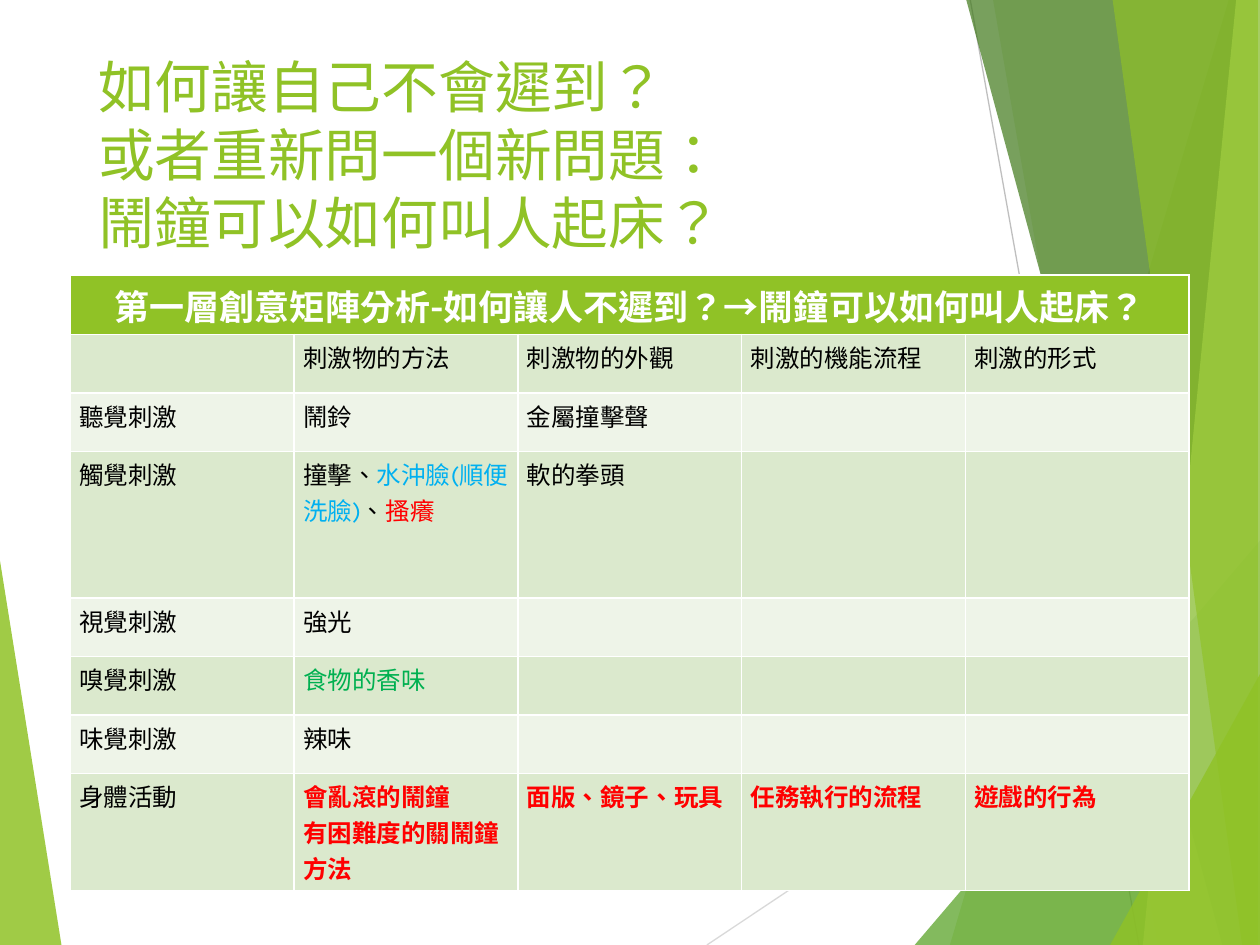
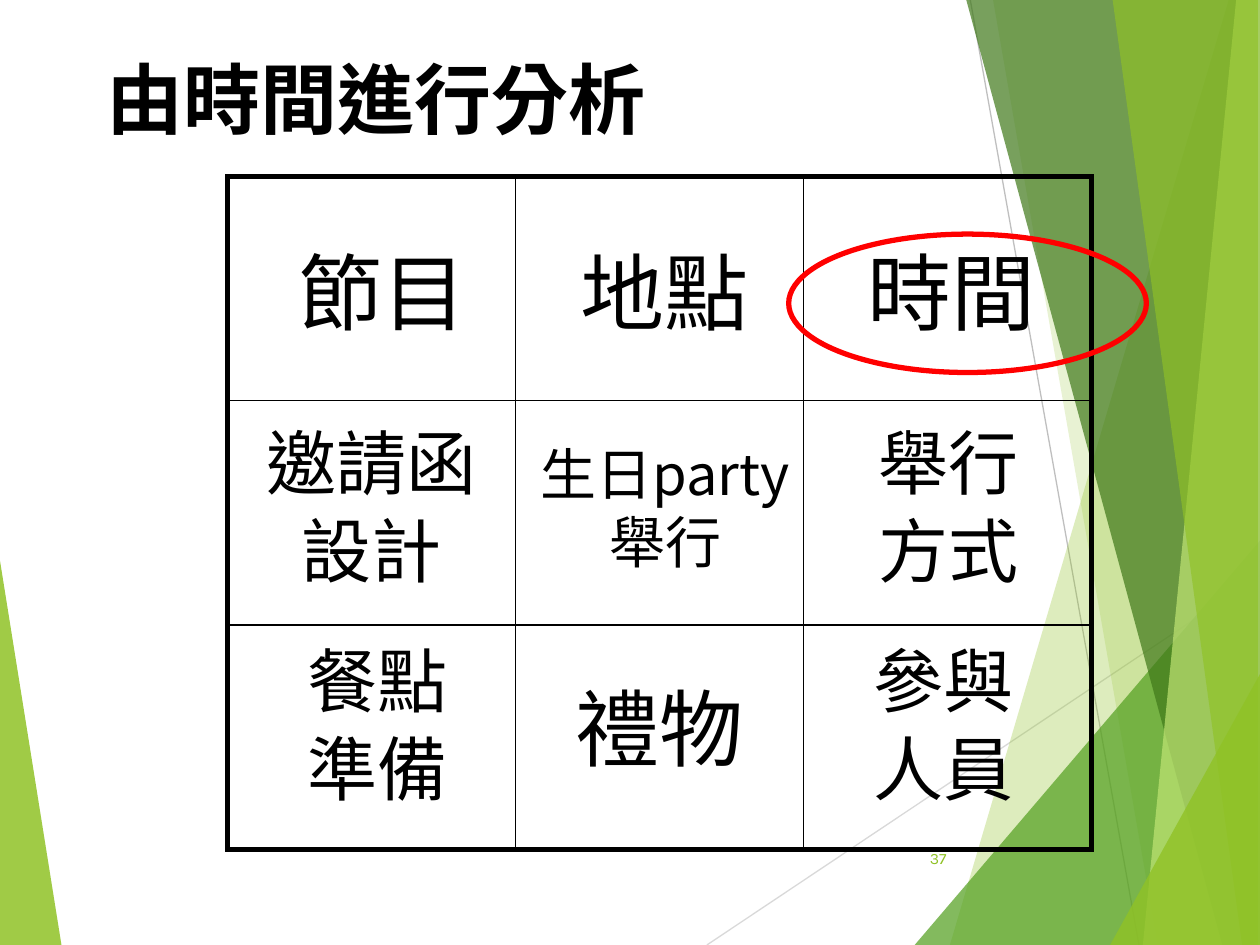
import pptx
import pptx.dml.color
import pptx.enum.lang
import pptx.enum.shapes
import pptx.enum.text
import pptx.oxml.ns
import pptx.util
import lxml.etree
from dataclasses import dataclass
from typing import Any, NamedTuple

Cm = pptx.util.Cm
Pt = pptx.util.Pt
qn = pptx.oxml.ns.qn
ALIGN = pptx.enum.text.PP_ALIGN
HOLD = pptx.enum.text.MSO_ANCHOR
KIND = pptx.enum.shapes.MSO_SHAPE
WIDE, HIGH = 25.4, 19.05

HUES: dict[str, str] = {
    "lime": "90C226", "leaf": "54A021", "moss": "3F7819", "pale": "C0E474",
    "mist": "D9D9D9", "gray": "BFBFBF", "white": "FFFFFF", "black": "000000",
    "red": "FF0000", "blue": "00B0F0", "green": "00B050",
    "band": "DBE9CD", "light": "EEF4E8",
}


class Facet(NamedTuple):
    left: float
    top: float
    foot: float
    edge: float
    hue: str
    alpha: int


class Rule(NamedTuple):
    x1: float
    y1: float
    x2: float
    y2: float
    hue: str


class Piece(NamedTuple):
    text: str
    hue: str = "black"
    bold: bool = False


@dataclass
class Label:
    text: str
    left: float
    top: float
    wide: float
    high: float
    size: float
    face: str = "Noto Sans CJK SC"
    hue: str = "black"
    bold: bool = False
    align: Any = ALIGN.CENTER
    hold: Any = HOLD.TOP


FACETS = [
    Facet(24.77, 0, 19.15, WIDE, "lime", 30),
    Facet(20.02, 0, 23.34, WIDE, "lime", 20),
    Facet(WIDE, 10.9, 18.44, WIDE, "leaf", 72),
    Facet(19.48, 0, 24.64, WIDE, "moss", 70),
    Facet(24.92, 0, 23.04, WIDE, "pale", 70),
    Facet(22.43, 0, 25.04, 25.36, "lime", 65),
    Facet(WIDE, 13.59, 22.38, WIDE, "lime", 80),
]
WEDGE = Facet(0, 11.3, 1.24, 0, "lime", 85)
RAYS = [Rule(14.25, HIGH, WIDE, 11.6, "mist"), Rule(19.56, 0, 22.96, HIGH, "gray")]

ASK = Label("如何讓自己不會遲到？\v或者重新問一個新問題：\v鬧鐘可以如何叫人起床？",
            1.73, 0.91, 17.15, 4.32, 32.4, "Karla", "lime", align=ALIGN.LEFT)
HEAD = "第一層創意矩陣分析-如何讓人不遲到？→鬧鐘可以如何叫人起床？"
ROWS: list[list[Any]] = [
    ["", "刺激物的方法", "刺激物的外觀", "刺激的機能流程", "刺激的形式"],
    ["聽覺刺激", "鬧鈴", "金屬撞擊聲"],
    ["觸覺刺激", [[Piece("撞擊、"), Piece("水沖臉(順便洗臉)", "blue"),
                Piece("、"), Piece("搔癢", "red")]], "軟的拳頭"],
    ["視覺刺激", "強光"],
    ["嗅覺刺激", [[Piece("食物的香味", "green")]]],
    ["味覺刺激", "辣味"],
    ["身體活動"] + [[[Piece(line, "red", True)] for line in text.split("\n")] for text in (
        "會亂滾的鬧鐘\n有困難度的關鬧鐘方法", "面版、鏡子、玩具", "任務執行的流程", "遊戲的行為")],
]
TALL = {0: 1.2, 3: 2.95, 7: 2.36}

TOPIC = Label("由時間進行分析", 1.9, 0.91, 14, 2.11, 44, "Arial", bold=True, align=ALIGN.LEFT)
PAGE = Label("37", 17.91, 16.79, 1.42, 1.02, 9, "Karla", "lime",
             align=ALIGN.RIGHT, hold=HOLD.MIDDLE)
GRID = (4.58, 3.56, 17.42, 13.56)
RING = (15.9, 4.72, 7.21, 2.79)
TERMS = [
    Label("節目", 5.31, 4.72, 4.8, 2.29, 48),
    Label("地點", 10.9, 4.72, 5, 2.29, 48),
    Label("時間", 16.69, 4.72, 5, 2.29, 48),
    Label("邀請函\n設計", 4.7, 8.33, 5.59, 3.73, 40),
    Label("生日party舉行", 10.31, 8.74, 6.2, 2.97, 32),
    Label("舉行\n方式", 16.31, 8.33, 5.61, 3.73, 40),
    Label("餐點\n準備", 4.9, 12.73, 5.41, 3.73, 40),
    Label("禮物", 10.69, 13.51, 5.21, 2.29, 48),
    Label("參與\n人員", 16.31, 12.73, 5.41, 3.73, 40),
]


def tint(name: str) -> pptx.dml.color.RGBColor:
    return pptx.dml.color.RGBColor.from_string(HUES[name])


def apply(thing: Any, form: dict[str, Any]) -> None:
    for key, value in form.items():
        setattr(thing, key, value)


def add_run(para: Any, text: str, face: str, size: float, hue: str, bold: bool) -> None:
    run = para.add_run()
    run.text = text
    apply(run.font, {"name": face, "size": Pt(size), "bold": bold,
                     "language_id": pptx.enum.lang.MSO_LANGUAGE_ID.TRADITIONAL_CHINESE})
    run.font.color.rgb = tint(hue)


def add_facet(slide: Any, facet: Facet) -> None:
    pen = slide.shapes.build_freeform(Cm(facet.left), Cm(facet.top))
    spots = [(facet.foot, HIGH), (facet.edge, HIGH), (facet.edge, facet.top)]
    pen.add_line_segments([(Cm(x), Cm(y)) for x, y in spots], close=True)
    shape = pen.convert_to_shape()
    shape.shadow.inherit = False
    shape.fill.solid()
    shape.fill.fore_color.rgb = tint(facet.hue)
    shape.line.fill.background()
    paint = shape.element.spPr.find(qn("a:solidFill"))[0]
    lxml.etree.SubElement(paint, qn("a:alpha"), val=str(facet.alpha * 1000))


def add_rule(slide: Any, rule: Rule) -> None:
    line = slide.shapes.add_connector(
        pptx.enum.shapes.MSO_CONNECTOR.STRAIGHT,
        Cm(rule.x1), Cm(rule.y1), Cm(rule.x2), Cm(rule.y2))
    line.line.color.rgb = tint(rule.hue)
    line.line.width = Pt(0.75)
    lxml.etree.SubElement(line.element.spPr, qn("a:effectLst"))


def add_label(slide: Any, label: Label) -> None:
    box = slide.shapes.add_textbox(
        Cm(label.left), Cm(label.top), Cm(label.wide), Cm(label.high))
    frame = box.text_frame
    apply(frame, {"word_wrap": True, "vertical_anchor": label.hold,
                  "margin_left": Cm(0.25), "margin_right": Cm(0.25),
                  "margin_top": Cm(0.13), "margin_bottom": Cm(0.13)})
    for i, text in enumerate(label.text.split("\n")):
        para = frame.add_paragraph() if i else frame.paragraphs[0]
        para.alignment = label.align
        if i:
            para.space_before = Pt(2)
        for j, part in enumerate(text.split("\v")):
            if j:
                para.add_line_break()
            add_run(para, part, label.face, label.size, label.hue, label.bold)


def add_frame(slide: Any, kind: Any, area: tuple, hue: str) -> None:
    shape = slide.shapes.add_shape(kind, *map(Cm, area))
    shape.shadow.inherit = False
    shape.fill.background()
    shape.line.color.rgb = tint(hue)
    shape.line.width = Pt(3)
    edge = shape.element.spPr.find(qn("a:ln"))
    lxml.etree.SubElement(edge, qn("a:miter"), lim="800000")


def style_cell(cell: Any, hue: str) -> None:
    apply(cell, {"margin_left": Cm(0.18), "margin_right": Cm(0.18),
                 "margin_top": Cm(0.1), "margin_bottom": Cm(0.1)})
    props = cell._tc.get_or_add_tcPr()
    for side in "LRTB":
        line = lxml.etree.SubElement(props, qn("a:ln" + side), w=str(Pt(1)))
        fill = lxml.etree.SubElement(line, qn("a:solidFill"))
        lxml.etree.SubElement(fill, qn("a:srgbClr"), val=HUES["white"])
    cell.fill.solid()
    cell.fill.fore_color.rgb = tint(hue)


def fill_cell(cell: Any, text: Any) -> None:
    lines = [[Piece(text)]] if isinstance(text, str) else text
    for i, line in enumerate(lines):
        para = cell.text_frame.add_paragraph() if i else cell.text_frame.paragraphs[0]
        for piece in line:
            add_run(para, piece.text, "Karla", 14, piece.hue, piece.bold)


def add_matrix(slide: Any) -> None:
    count, cols = len(ROWS) + 1, len(ROWS[0])
    high = sum(TALL.get(r, 1.18) for r in range(count))
    table = slide.shapes.add_table(
        count, cols, Cm(1.42), Cm(5.54), Cm(22.55), Cm(high)).table
    apply(table, {"first_row": False, "horz_banding": False})
    for col in table.columns:
        col.width = Cm(4.51)
    for r, row in enumerate(table.rows):
        row.height = Cm(TALL.get(r, 1.18))
        hue = "lime" if r == 0 else "band" if r % 2 else "light"
        for cell in row.cells:
            style_cell(cell, hue)
    top = table.cell(0, 0)
    top.merge(table.cell(0, cols - 1))
    para = top.text_frame.paragraphs[0]
    para.alignment = ALIGN.CENTER
    add_run(para, HEAD, "Karla", 20, "white", True)
    for r, texts in enumerate(ROWS, 1):
        for c, text in enumerate(texts):
            if text:
                fill_cell(table.cell(r, c), text)


def add_grid(slide: Any) -> None:
    left, top, wide, high = GRID
    add_frame(slide, KIND.RECTANGLE, GRID, "black")
    for i in (1, 2):
        x, y = left + wide * i / 3, top + high * i / 3
        add_rule(slide, Rule(left, y, left + wide, y, "black"))
        add_rule(slide, Rule(x, top, x, top + high, "black"))


def add_base(deck: Any) -> Any:
    slide = deck.slides.add_slide(deck.slide_layouts[6])
    add_facet(slide, WEDGE)
    for ray in RAYS:
        add_rule(slide, ray)
    for facet in FACETS:
        add_facet(slide, facet)
    return slide


def main() -> None:
    deck = pptx.Presentation()
    apply(deck, {"slide_width": Cm(WIDE), "slide_height": Cm(HIGH)})

    slide = add_base(deck)
    add_label(slide, ASK)
    add_matrix(slide)

    slide = add_base(deck)
    add_label(slide, PAGE)
    add_grid(slide)
    for term in TERMS:
        add_label(slide, term)
    add_frame(slide, KIND.OVAL, RING, "red")
    add_label(slide, TOPIC)

    deck.save("out.pptx")


if __name__ == "__main__":
    main()
